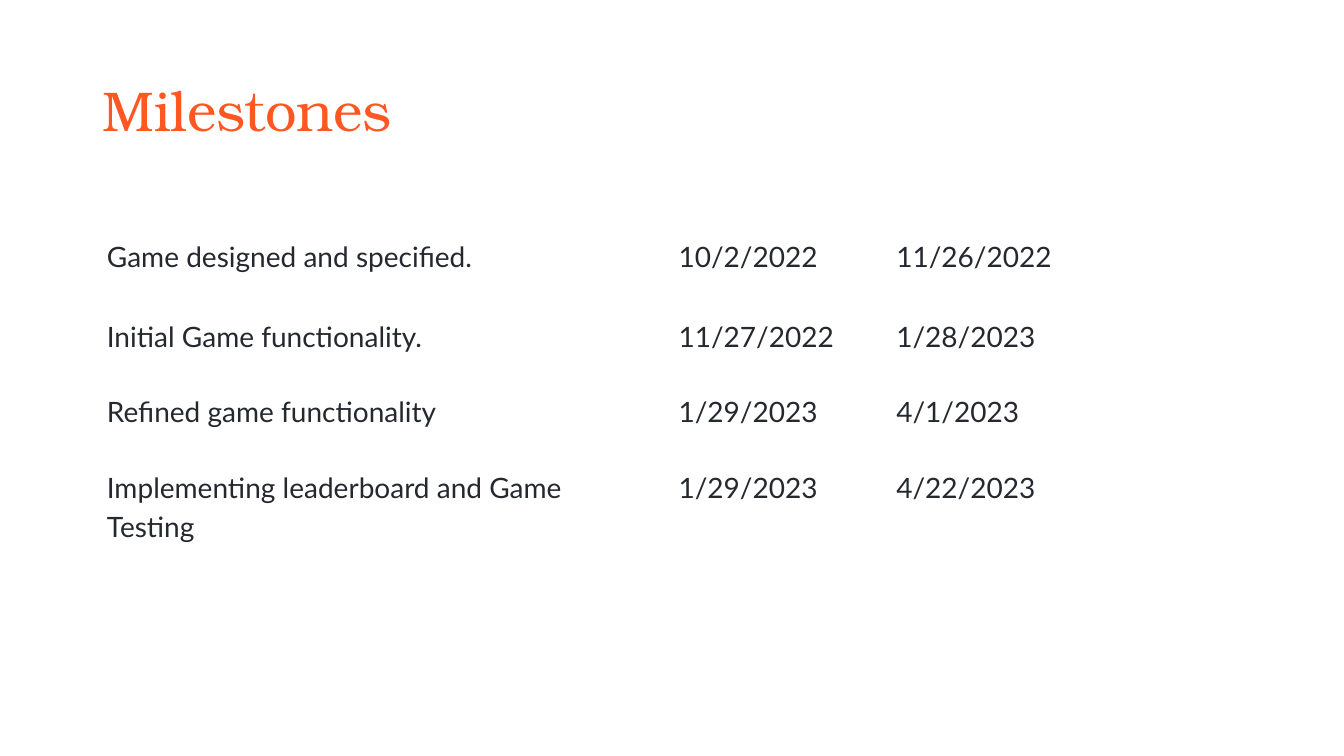
import pptx
import pptx.dml.color
import pptx.enum.text
import pptx.util

WIDE, HIGH = 13.33, 7.5
GOALS = [
    ("Game designed and specified.", "10/2/2022", "11/26/2022"),
    ("Initial Game functionality.", "11/27/2022", "1/28/2023"),
    ("Refined game functionality", "1/29/2023", "4/1/2023"),
    ("Implementing leaderboard and Game Testing", "1/29/2023", "4/22/2023"),
]


def tint(code):
    return pptx.dml.color.RGBColor.from_string(code)


def write(frame, text, font="Lato", size=20, color="24292F", space=1.15):
    para = frame.paragraphs[0]
    para.line_spacing = space
    run = para.add_run()
    run.text = text
    run.font.name = font
    run.font.size = pptx.util.Pt(size)
    run.font.bold = False
    run.font.color.rgb = tint(color)


class Page:
    """Places elements by shares of the slide's width and height."""

    head = {"font": "TeX Gyre Bonum", "size": 40, "color": "FF5722", "space": 0.9}
    paper = "FFFFFF"

    def __init__(self, deck):
        self.deck = deck
        self.slide = deck.slides.add_slide(deck.slide_layouts[6])
        fill = self.slide.background.fill
        fill.solid()
        fill.fore_color.rgb = tint(self.paper)

    def across(self, share):
        return round(self.deck.slide_width * share)

    def down(self, share):
        return round(self.deck.slide_height * share)

    def title(self, text, left, top, wide, high):
        box = self.slide.shapes.add_textbox(
            self.across(left), self.down(top), self.across(wide), self.down(high))
        frame = box.text_frame
        frame.word_wrap = True
        frame.vertical_anchor = pptx.enum.text.MSO_ANCHOR.MIDDLE
        write(frame, text, **self.head)

    def table(self, data, left, top, cols, rows):
        grid = self.slide.shapes.add_table(
            len(rows), len(cols), self.across(left), self.down(top),
            self.across(sum(cols)), self.down(sum(rows))).table
        grid.first_row = grid.horz_banding = False
        for col, share in zip(grid.columns, cols):
            col.width = self.across(share)
        for row, share, texts in zip(grid.rows, rows, data):
            row.height = self.down(share)
            for cell, text in zip(row.cells, texts):
                self.cell(cell, text)

    def cell(self, cell, text):
        cell.fill.solid()
        cell.fill.fore_color.rgb = tint(self.paper)
        cell.margin_left = cell.margin_right = pptx.util.Inches(0.14)
        cell.margin_top = cell.margin_bottom = pptx.util.Inches(0.06)
        write(cell.text_frame, text)


def main():
    deck = pptx.Presentation()
    deck.slide_width = pptx.util.Inches(WIDE)
    deck.slide_height = pptx.util.Inches(HIGH)
    page = Page(deck)
    left = 0.92 / WIDE

    # Heading
    page.title("Milestones", left, 0.4 / HIGH, 11.5 / WIDE, 1.45 / HIGH)

    # Goals with start and end dates
    page.table(GOALS, left, 2.27 / HIGH,
               cols=[wide / WIDE for wide in (5.67, 2.16, 2.39)],
               rows=[high / HIGH for high in (0.79, 0.75, 0.75, 1.24)])

    deck.save("out.pptx")


if __name__ == "__main__":
    main()
